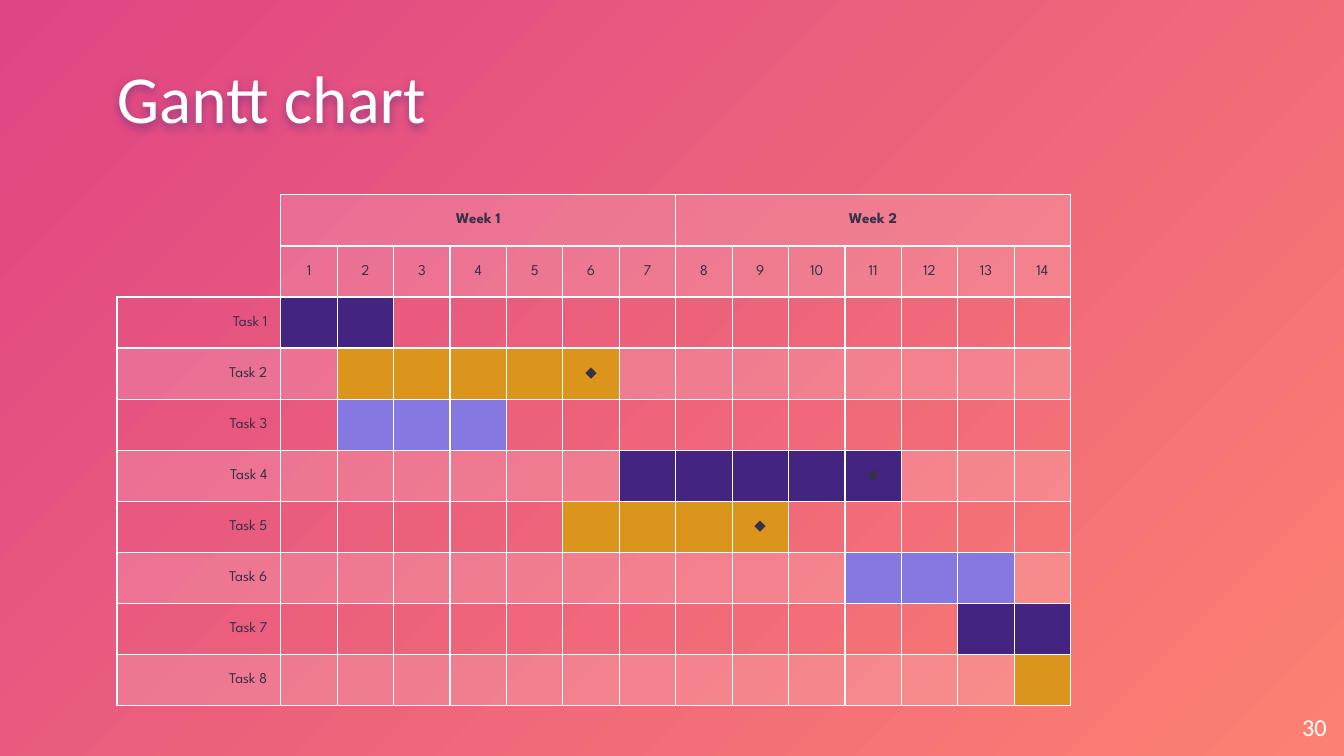
from pptx import Presentation
from pptx.dml.color import RGBColor
from pptx.enum.text import MSO_ANCHOR, PP_ALIGN
from pptx.oxml import parse_xml
from pptx.oxml.ns import nsdecls, qn
from pptx.util import Inches, Pt

LEFT, CENTER, RIGHT = PP_ALIGN.LEFT, PP_ALIGN.CENTER, PP_ALIGN.RIGHT
MIDDLE, BOTTOM = MSO_ANCHOR.MIDDLE, MSO_ANCHOR.BOTTOM
WHITE, INK = "FFFFFF", "353149"
BAR_COLORS = ["432581", "DB951D", "8579E1"]
NO_TABLE_STYLE = "{2D5ABB26-0587-4C30-8999-92F81FD0307C}"
ALL_SIDES = "LRTB"
PAGE_WIDTH = 10
PAGE_HEIGHT = PAGE_WIDTH * 9 / 16
DAYS_PER_WEEK, WEEKS = 7, 2
# First day, last day, milestone on the last day
TASKS = [(1, 2, False), (2, 6, True), (2, 4, False), (7, 11, True),
         (6, 9, True), (11, 13, False), (13, 14, False), (14, 14, False)]


def rgb(value):
    return RGBColor.from_string(value)


def xml(text):
    """Parse a drawing element, declaring its namespace on the first tag."""
    return parse_xml(text.replace(">", f" {nsdecls('a')}>", 1))


class SlideBuilder:
    def __init__(self, page):
        self.page = page
        self.text_font = "Calibri"
        self.table_font = "League Spartan"
        self.table_size = 8

    def background(self, start, end):
        """Fill the page with a gradient spreading from the lower right corner."""
        fill = self.page.background.fill
        fill.gradient()
        for stop, color in zip(fill.gradient_stops, (start, end)):
            stop.color.rgb = rgb(color)
        linear = next(self.page.background._cSld.iter(qn("a:lin")))
        linear.getparent().replace(linear, xml(
            '<a:path path="circle"><a:fillToRect l="100000" t="100000"/></a:path>'))

    def format_span(self, span, font, size, color, bold=False):
        span.font.name, span.font.size, span.font.bold = font, Pt(size), bold
        span.font.color.rgb = rgb(color)

    def text(self, words, left, top, width, height, size, align, anchor):
        box = self.page.shapes.add_textbox(
            Inches(left), Inches(top), Inches(width), Inches(height))
        frame = box.text_frame
        frame.word_wrap = True
        frame.vertical_anchor = anchor
        frame.margin_left = frame.margin_right = 0
        frame.margin_top = frame.margin_bottom = 0
        frame.text = words
        para = frame.paragraphs[0]
        para.alignment = align
        self.format_span(para.runs[0], self.text_font, size, WHITE)
        return box

    def shadow(self, box, color):
        """Give an unfilled box a soft shadow, which falls from its text."""
        box._element.spPr.append(xml(
            '<a:effectLst><a:outerShdw blurRad="57150" dist="19050" dir="5400000">'
            f'<a:srgbClr val="{color}"><a:alpha val="50000"/></a:srgbClr>'
            '</a:outerShdw></a:effectLst>'))

    def table(self, left, top, widths, heights):
        frame = self.page.shapes.add_table(
            len(heights), len(widths), Inches(left), Inches(top),
            Inches(sum(widths)), Inches(sum(heights)))
        table = frame.table
        table.first_row = table.horz_banding = False
        table._tbl.tblPr.find(qn("a:tableStyleId")).text = NO_TABLE_STYLE
        for column, width in zip(table.columns, widths):
            column.width = Inches(width)
        for row, height in zip(table.rows, heights):
            row.height = Inches(height)
        return table

    def cell(self, cell, words="", align=CENTER, color=None, opacity=100,
             bold=False, sides=ALL_SIDES):
        if color:
            cell.fill.solid()
            cell.fill.fore_color.rgb = rgb(color)
        else:
            cell.fill.background()
        properties = cell._tc.tcPr
        if opacity < 100:
            next(properties.iter(qn("a:srgbClr"))).append(
                xml(f'<a:alpha val="{opacity * 1000}"></a:alpha>'))
        for index, side in enumerate(sides):
            properties.insert(index, xml(
                f'<a:ln{side} w="{Pt(0.75)}"><a:solidFill><a:srgbClr val="{WHITE}"/>'
                f'</a:solidFill></a:ln{side}>'))
        cell.vertical_anchor = MIDDLE
        if words:
            cell.text = words
            para = cell.text_frame.paragraphs[0]
            para.alignment = align
            self.format_span(para.runs[0], self.table_font, self.table_size, INK, bold)
        else:
            cell.margin_top = cell.margin_bottom = 0

    def gantt(self, left, top):
        days = DAYS_PER_WEEK * WEEKS
        table = self.table(left, top, [1.22] + [0.42] * days,
                           [0.38] * (len(TASKS) + 2))
        tint = {"color": WHITE, "opacity": 16}

        self.cell(table.cell(0, 0), sides="R")
        self.cell(table.cell(1, 0), sides="RB")
        for day in range(1, days + 1):
            week, offset = divmod(day - 1, DAYS_PER_WEEK)
            title = "" if offset else f"Week {week + 1}"
            self.cell(table.cell(0, day), title, bold=True, **tint)
            self.cell(table.cell(1, day), str(day), **tint)
        for first in range(1, days, DAYS_PER_WEEK):
            table.cell(0, first).merge(table.cell(0, first + DAYS_PER_WEEK - 1))

        for index, (start, end, milestone) in enumerate(TASKS):
            row = index + 2
            band = tint if index % 2 else {}
            bar = {"color": BAR_COLORS[index % len(BAR_COLORS)]}
            self.cell(table.cell(row, 0), f"Task {index + 1}", RIGHT, **band)
            for day in range(1, days + 1):
                mark = "◆" if milestone and day == end else ""
                style = bar if start <= day <= end else band
                self.cell(table.cell(row, day), mark, **style)


def main():
    deck = Presentation()
    deck.slide_width, deck.slide_height = Inches(PAGE_WIDTH), Inches(PAGE_HEIGHT)
    builder = SlideBuilder(deck.slides.add_slide(deck.slide_layouts[6]))
    builder.background("FC8172", "DF4584")
    title = builder.text("Gantt chart", 0.87, 0.41, 8.64, 0.62, 36, LEFT, BOTTOM)
    title.text_frame.paragraphs[0].line_spacing = 0.9
    builder.shadow(title, "432581")
    builder.text("30", 9.27, 5.19, 0.6, 0.43, 13, RIGHT, MIDDLE)
    builder.gantt(0.87, 1.45)
    deck.save("out.pptx")


if __name__ == "__main__":
    main()
